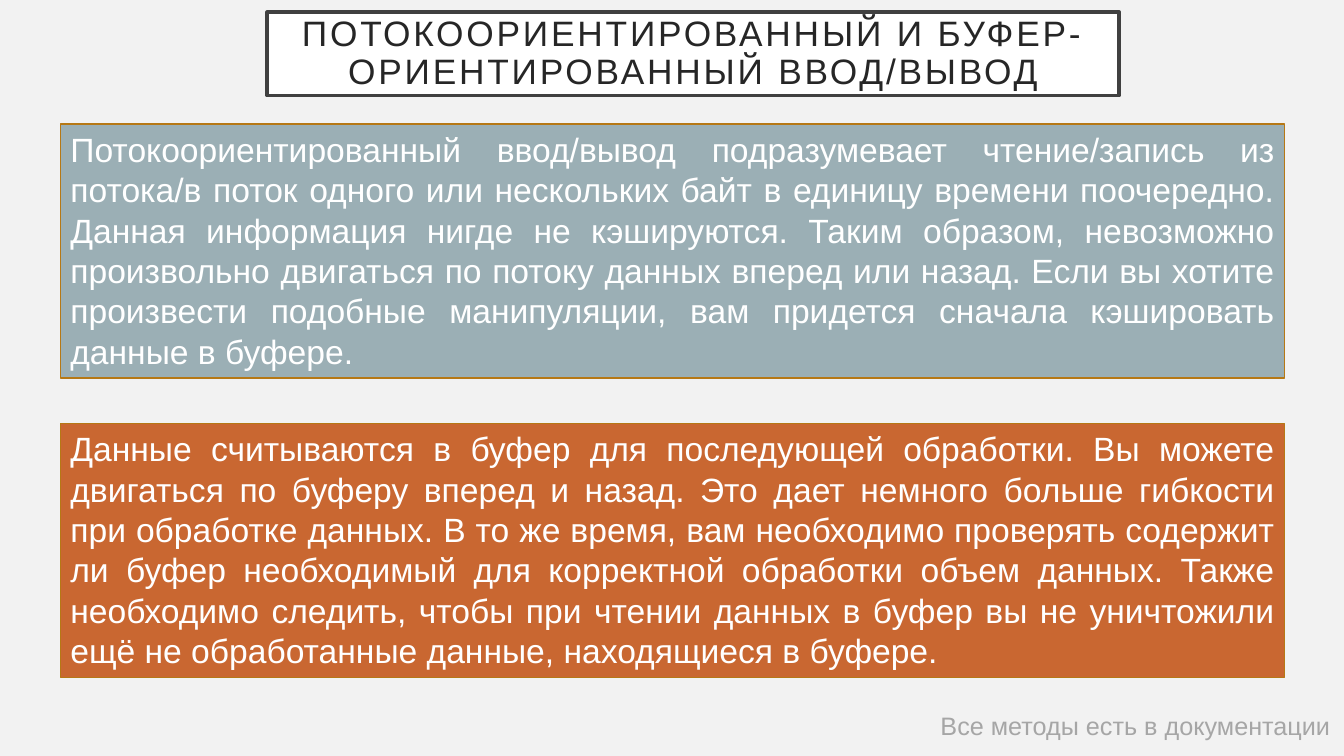
from dataclasses import dataclass
from typing import Optional

from pptx import Presentation
from pptx.dml.color import RGBColor
from pptx.enum.shapes import MSO_SHAPE
from pptx.enum.text import MSO_ANCHOR, PP_ALIGN
from pptx.util import Inches, Pt

FONT = "Arial"


@dataclass
class TextBlock:
    text: str
    left: float
    top: float
    width: float
    height: float
    size: float
    color: str
    align: PP_ALIGN
    fill: Optional[str] = None
    line: Optional[str] = None
    line_width: float = 1
    anchor: MSO_ANCHOR = MSO_ANCHOR.TOP
    margins: tuple[float, float] = (0.1, 0.05)
    line_spacing: float = 1.0
    letter_spacing: float = 0
    wrap: bool = True


def rgb(value: str) -> RGBColor:
    return RGBColor.from_string(value)


def draw_block(page, block: TextBlock) -> None:
    area = [Inches(side) for side in (block.left, block.top, block.width, block.height)]
    if block.fill:
        box = page.shapes.add_shape(MSO_SHAPE.RECTANGLE, *area)
        box.shadow.inherit = False
        box.fill.solid()
        box.fill.fore_color.rgb = rgb(block.fill)
        box.line.color.rgb = rgb(block.line)
        box.line.width = Pt(block.line_width)
    else:
        box = page.shapes.add_textbox(*area)

    frame = box.text_frame
    frame.word_wrap = block.wrap
    frame.vertical_anchor = block.anchor
    horizontal, vertical = block.margins
    frame.margin_left = frame.margin_right = Inches(horizontal)
    frame.margin_top = frame.margin_bottom = Inches(vertical)

    para = frame.paragraphs[0]
    para.alignment = block.align
    para.line_spacing = block.line_spacing
    span = para.add_run()
    span.text = block.text
    span.font.name = FONT
    span.font.size = Pt(block.size)
    span.font.color.rgb = rgb(block.color)
    if block.letter_spacing:
        span.font._element.set("spc", str(round(block.letter_spacing * 100)))


def explanation(text: str, top: float, fill: str) -> TextBlock:
    return TextBlock(text, 0.6, top, 12.14, 2.52, 24, "FFFFFF", PP_ALIGN.JUSTIFY,
                     fill=fill, line="B67815")


BLOCKS = [
    TextBlock(
        "ПОТОКООРИЕНТИРОВАННЫЙ И БУФЕР-ОРИЕНТИРОВАННЫЙ ВВОД/ВЫВОД",
        2.65, 0.12, 8.45, 0.83, 25.2, "262626", PP_ALIGN.CENTER,
        fill="FFFFFF", line="404040", line_width=2.5, anchor=MSO_ANCHOR.MIDDLE,
        margins=(0.2, 0.2), line_spacing=0.9, letter_spacing=2,
    ),
    explanation(
        "Потокоориентированный ввод/вывод подразумевает чтение/запись из потока/в поток "
        "одного или нескольких байт в единицу времени поочередно. Данная информация нигде "
        "не кэшируются. Таким образом, невозможно произвольно двигаться по потоку данных "
        "вперед или назад. Если вы хотите произвести подобные манипуляции, вам придется "
        "сначала кэшировать данные в буфере.",
        1.23, "9BAFB5",
    ),
    explanation(
        "Данные считываются в буфер для последующей обработки. Вы можете двигаться по "
        "буферу вперед и назад. Это дает немного больше гибкости при обработке данных. "
        "В то же время, вам необходимо проверять содержит ли буфер необходимый для "
        "корректной обработки объем данных. Также необходимо следить, чтобы при чтении "
        "данных в буфер вы не уничтожили ещё не обработанные данные, находящиеся в буфере.",
        4.2, "C96731",
    ),
    TextBlock("Все методы есть в документации", 9.23, 7, 4.1, 0.4, 18, "A6A6A6",
              PP_ALIGN.LEFT, wrap=False),
]


def main() -> None:
    deck = Presentation()
    deck.slide_width = Inches(13.33)
    deck.slide_height = Inches(7.5)
    page = deck.slides.add_slide(deck.slide_layouts[6])
    page.background.fill.solid()
    page.background.fill.fore_color.rgb = rgb("F2F2F2")
    for block in BLOCKS:
        draw_block(page, block)
    deck.save("out.pptx")


if __name__ == "__main__":
    main()
